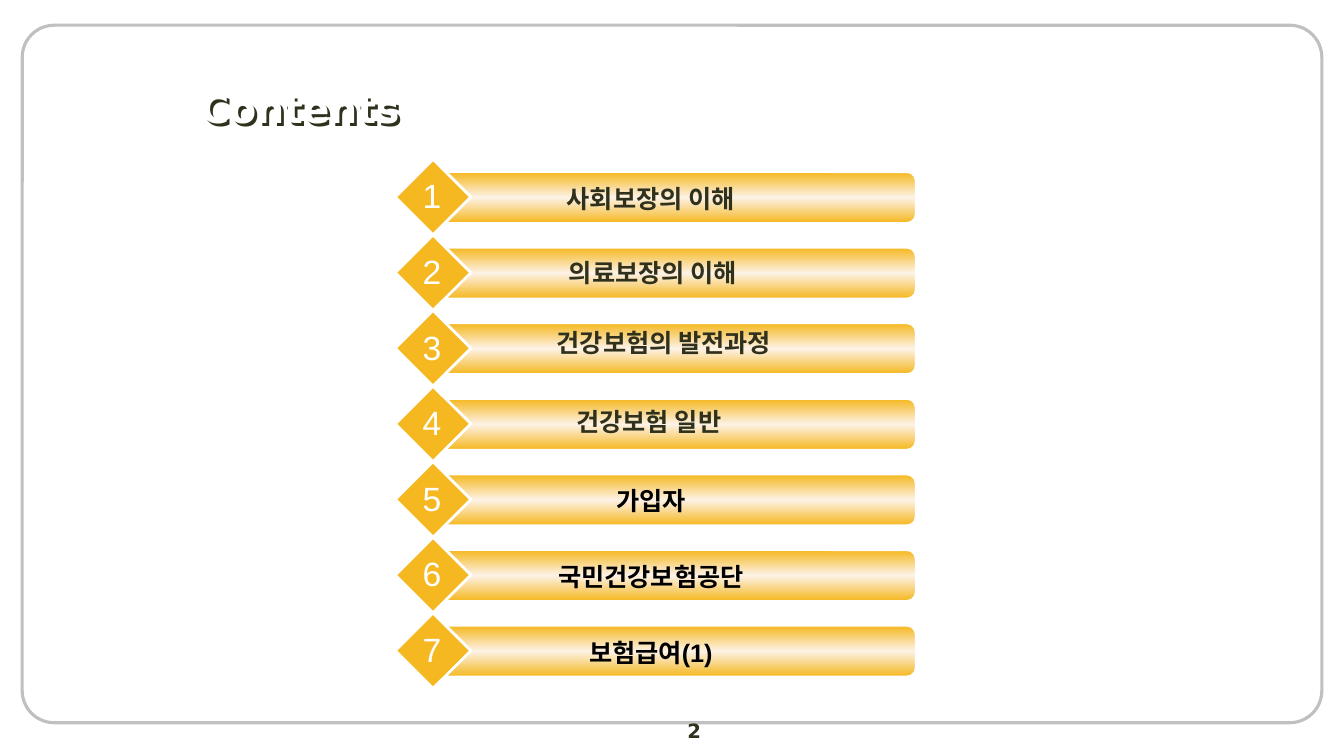
from copy import deepcopy

from pptx import Presentation
from pptx import util as u
from pptx.dml.color import RGBColor
from pptx.enum import shapes, text
from pptx.oxml import parse_xml
from pptx.oxml.ns import nsdecls, qn

GOLD, CREAM, WHITE, OLIVE, BLACK = "F5B821", "FDF2E6", "FFFFFF", "30311D", "000000"
SANS, KOREAN, HEADING = "Arial", "Noto Sans CJK KR", "DejaVu Sans"
ROW_STEP = 0.75

# Topic, font, colour, label centre and label top relative to the row
TOPICS = [
    ("사회보장의 이해", SANS, OLIVE, 2.54, 0.19),
    ("의료보장의 이해", SANS, OLIVE, 2.56, 0.17),
    ("건강보험의 발전과정", KOREAN, OLIVE, 2.67, 0.12),
    ("건강보험 일반", KOREAN, OLIVE, 2.52, 0.15),
    ("가입자", SANS, BLACK, 2.54, 0.19),
    ("국민건강보험공단", SANS, BLACK, 2.54, 0.19),
    ("보험급여(1)", SANS, BLACK, 2.54, 0.19),
]


def color(value):
    return RGBColor.from_string(value)


def inches(*lengths):
    return [u.Inches(length) for length in lengths]


def add_span(para, words, font, size, ink, bold=False):
    span = para.add_run()
    span.text = words
    span.font.name, span.font.size, span.font.bold = font, u.Pt(size), bold
    span.font.color.rgb = color(ink)
    east_asian = parse_xml(f'<a:ea {nsdecls("a")} typeface="{KOREAN}"/>')
    span.font._element.find(qn("a:latin")).addnext(east_asian)


def add_label(page, area, words, font, size, ink, bold=False, wrap=True):
    box = page.shapes.add_textbox(*inches(*area))
    box.text_frame.word_wrap = wrap
    para = box.text_frame.paragraphs[0]
    para.alignment = text.PP_ALIGN.CENTER
    add_span(para, words, font, size, ink, bold)


def add_outlined(page, kind, area, line, width):
    shape = page.shapes.add_shape(kind, *inches(*area))
    shape.shadow.inherit = False
    shape.line.color.rgb = color(line)
    shape.line.width = u.Pt(width)
    return shape


def fill_gradient(shape, stops):
    shape.fill.gradient()
    shape.fill.gradient_angle = 270
    # A new gradient has two stops, so a third is added between them
    stop_list = shape._element.spPr.find(qn("a:gradFill")).find(qn("a:gsLst"))
    stop_list.insert(1, deepcopy(stop_list[0]))
    for stop, (position, tone) in zip(shape.fill.gradient_stops, stops):
        stop.position = position
        stop.color.rgb = color(tone)


def add_frame(page, left, top, width, height):
    frame = add_outlined(page, shapes.MSO_SHAPE.ROUNDED_RECTANGLE,
                         (left, top, width, height), "C0C0C0", 2.25)
    frame.adjustments[0] = 0.046
    frame.fill.background()
    # Page number, centred under the frame
    add_label(page, (left + 5.11, top + 6.83, 3.11, 0.27), "2", HEADING, 14, OLIVE, True)


def add_title(page, left, top, width, height):
    title = page.shapes.title
    title.left, title.top, title.width, title.height = inches(left, top, width, height)
    title.text_frame.vertical_anchor = text.MSO_ANCHOR.MIDDLE
    para = title.text_frame.paragraphs[0]
    para.alignment = text.PP_ALIGN.LEFT
    add_span(para, "Contents", HEADING, 28, WHITE, True)
    # On an unfilled shape the shadow falls from the white letters
    title.fill.background()
    title._element.spPr.append(parse_xml(
        f'<a:effectLst {nsdecls("a")}>'
        '<a:outerShdw dist="35921" dir="2700000" algn="ctr" rotWithShape="0">'
        f'<a:srgbClr val="{OLIVE}"/></a:outerShdw></a:effectLst>'))


def add_topic(page, left, top, number, topic):
    words, font, ink, center, label_top = topic
    # Bar
    bar = add_outlined(page, shapes.MSO_SHAPE.ROUNDED_RECTANGLE,
                       (left + 0.41, top + 0.13, 4.75, 0.5), WHITE, 1)
    fill_gradient(bar, [(0, GOLD), (0.5, CREAM), (1, GOLD)])
    # Numbered diamond
    diamond = add_outlined(page, shapes.MSO_SHAPE.DIAMOND, (left, top, 0.75, 0.75), WHITE, 2)
    diamond.fill.solid()
    diamond.fill.fore_color.rgb = color(GOLD)
    add_label(page, (left + 0.17, top + 0.11, 0.39, 0.5), str(number), SANS, 24, WHITE,
              wrap=False)
    # Topic
    add_label(page, (left + center - 1.88, top + label_top, 3.75, 0.4), words, font, 18, ink,
              True)


def add_contents(page, left, top):
    for row, topic in enumerate(TOPICS):
        add_topic(page, left, top + row * ROW_STEP, row + 1, topic)


def main():
    deck = Presentation()
    deck.slide_width, deck.slide_height = inches(13.33, 7.5)
    page = deck.slides.add_slide(deck.slide_layouts.get_by_name("Title Only"))
    add_frame(page, 0.22, 0.25, 12.89, 6.92)
    add_title(page, 1.89, 0.78, 10.67, 0.58)
    add_contents(page, 3.92, 1.58)
    deck.save("out.pptx")


if __name__ == "__main__":
    main()
